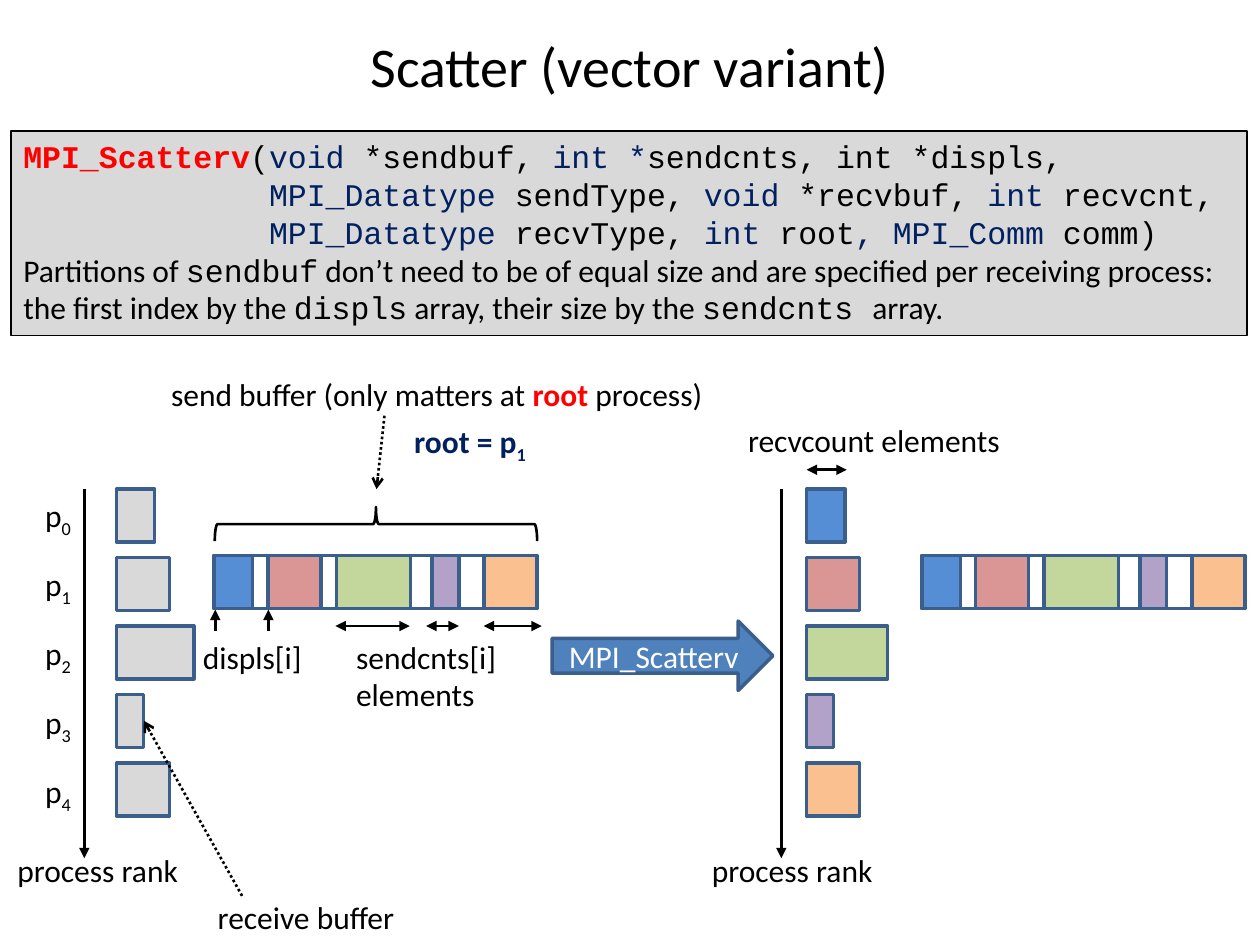
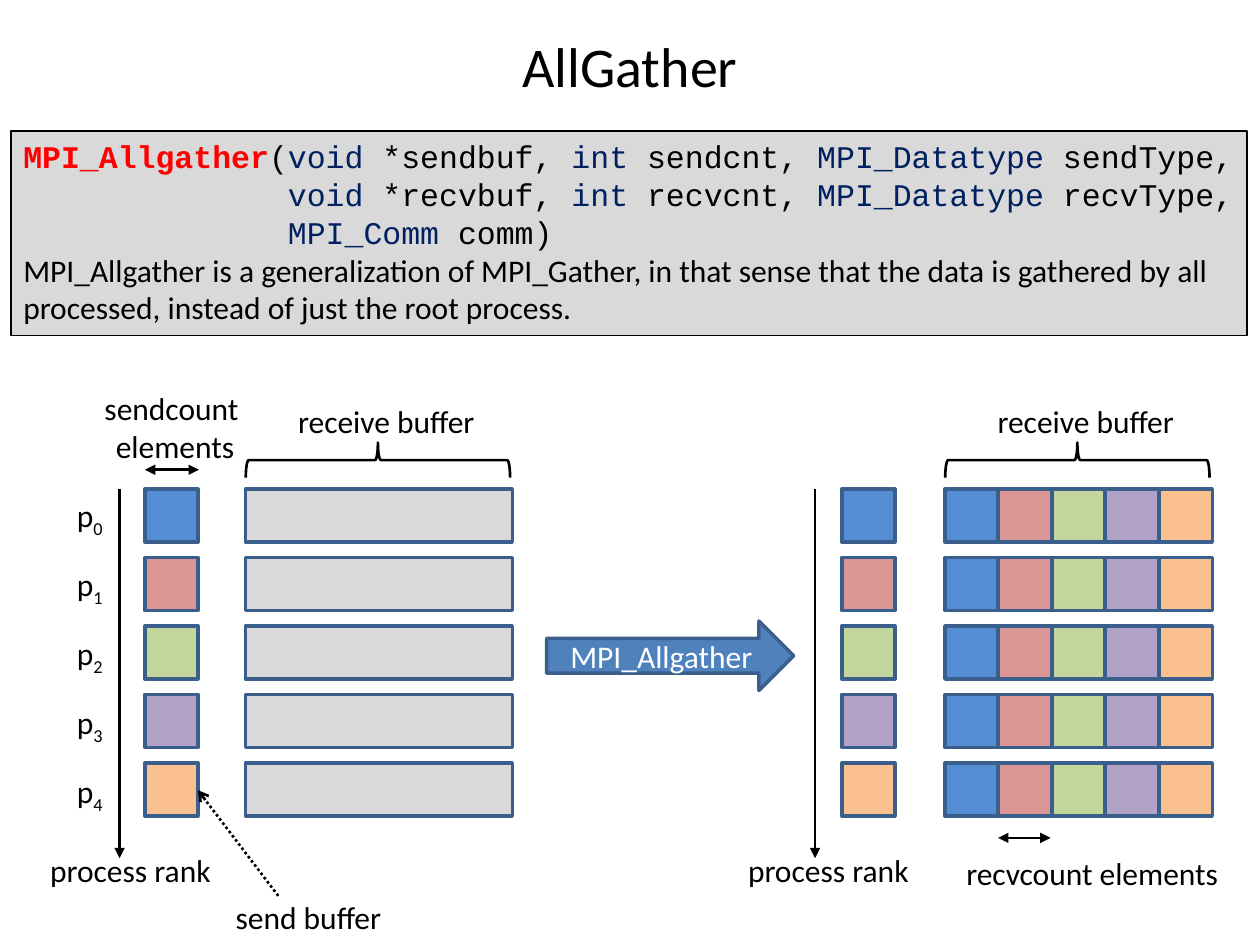
import dataclasses

import pptx
import pptx.dml.color
import pptx.enum.dml
import pptx.enum.shapes
import pptx.enum.text
import pptx.oxml
import pptx.oxml.ns
import pptx.util

Cm = pptx.util.Cm
Pt = pptx.util.Pt
Shape = pptx.enum.shapes.MSO_SHAPE
Align = pptx.enum.text.PP_ALIGN
Anchor = pptx.enum.text.MSO_ANCHOR


@dataclasses.dataclass(frozen=True)
class Style:
    color: str
    font: str = "Calibri"
    bold: bool = False
    subscript: bool = False


@dataclasses.dataclass(frozen=True)
class Theme:
    black: str = "000000"
    white: str = "FFFFFF"
    red: str = "FF0000"
    navy: str = "002060"
    gray: str = "D9D9D9"
    arrow_fill: str = "4F81BD"
    outline: str = "3A5F8C"
    # One colour per process: p0 to p4
    rank_colors: tuple = ("558ED5", "D99694", "C3D69B", "B3A2C7", "FAC090")
    mono: str = "Courier New"
    title_size: int = 32
    text_size: int = 18
    box_line: float = 0.75
    line: float = 1.5
    cell_line: float = 2


THEME = Theme()

# Text styles
PROSE = Style(THEME.black)
STRONG = Style(THEME.red, bold=True)
ROOT = Style(THEME.navy, bold=True)
ROOT_SUB = Style(THEME.navy, bold=True, subscript=True)
SUB = Style(THEME.black, subscript=True)
ON_ARROW = Style(THEME.white)
CALL = Style(THEME.red, THEME.mono, bold=True)
CODE = Style(THEME.black, THEME.mono)
KEY = Style(THEME.navy, THEME.mono)

# Grid of process rows, in centimetres
ROW_TOP, ROW_STEP, CELL = 9.86, 1.38, 1.07
AXIS_END = 17.3


def rgb(code):
    return pptx.dml.color.RGBColor.from_string(code)


def row_y(rank):
    return ROW_TOP + rank * ROW_STEP


def write(frame, lines, size=THEME.text_size, align=Align.LEFT):
    """Fill a text frame; each line is a list of (text, style) spans."""
    for index, line in enumerate(lines):
        para = frame.paragraphs[0] if index == 0 else frame.add_paragraph()
        para.alignment = align
        for text, style in line:
            span = para.add_run()
            span.text = text
            span.font.size = Pt(size)
            span.font.name = style.font
            span.font.bold = style.bold
            span.font.color.rgb = rgb(style.color)
            if style.subscript:
                span._r.get_or_add_rPr().set("baseline", "-25000")


def add_page(deck, title):
    page = deck.slides.add_slide(deck.slide_layouts[5])
    holder = page.shapes.title
    holder.left, holder.top = Cm(1.27), Cm(0.43)
    holder.width, holder.height = Cm(22.86), Cm(1.78)
    holder.text_frame.vertical_anchor = Anchor.MIDDLE
    write(holder.text_frame, [[(title, PROSE)]], THEME.title_size, Align.CENTER)
    return page


def add_figure(page, kind, x, y, width, height, fill=None,
               line=THEME.outline, weight=THEME.cell_line):
    figure = page.shapes.add_shape(kind, Cm(x), Cm(y), Cm(width), Cm(height))
    figure.shadow.inherit = False
    if fill:
        figure.fill.solid()
        figure.fill.fore_color.rgb = rgb(fill)
    else:
        figure.fill.background()
    figure.line.color.rgb = rgb(line)
    figure.line.width = Pt(weight)
    return figure


def add_cell(page, x, y, width, fill=None):
    return add_figure(page, Shape.RECTANGLE, x, y, width, CELL, fill)


def add_signature(page, lines):
    box = add_figure(page, Shape.RECTANGLE, 0.22, 2.64, 24.92, 4.12,
                     THEME.gray, THEME.black, THEME.box_line)
    box.text_frame.word_wrap = True
    box.text_frame.vertical_anchor = Anchor.TOP
    write(box.text_frame, lines)


def add_label(page, x, y, width, lines, align=Align.LEFT):
    box = page.shapes.add_textbox(Cm(x), Cm(y), Cm(width), Cm(0.22 + 0.8 * len(lines)))
    box.text_frame.word_wrap = False
    box.text_frame.auto_size = pptx.enum.text.MSO_AUTO_SIZE.SHAPE_TO_FIT_TEXT
    write(box.text_frame, lines, align=align)


def add_line(page, start, end, head=None, tail="triangle", dotted=False):
    line = page.shapes.add_connector(
        pptx.enum.shapes.MSO_CONNECTOR.STRAIGHT, *map(Cm, start + end))
    line.line.color.rgb = rgb(THEME.black)
    line.line.width = Pt(THEME.line)
    if dotted:
        line.line.dash_style = pptx.enum.dml.MSO_LINE.ROUND_DOT
    properties = line._element.spPr
    for tag, kind in (("headEnd", head), ("tailEnd", tail)):
        if kind:
            end_mark = pptx.oxml.parse_xml(
                f'<a:{tag} {pptx.oxml.ns.nsdecls("a")} type="{kind}"/>')
            properties.get_or_add_ln().append(end_mark)
    properties.append(
        pptx.oxml.parse_xml(f'<a:effectLst {pptx.oxml.ns.nsdecls("a")}/>'))


def add_pointer(page, start, end):
    add_line(page, start, end, tail="arrow", dotted=True)


def add_extent(page, left, right, y):
    add_line(page, (left, y), (right, y), head="triangle")


def add_brace(page, center, top, width, height):
    """Brace pointing up: a right brace turned by a quarter."""
    brace = add_figure(page, Shape.RIGHT_BRACE, center - height / 2,
                       top + height / 2 - width / 2, height, width,
                       line=THEME.black, weight=THEME.line)
    brace.rotation = 270


def add_axis(page, x, caption_x):
    add_line(page, (x, ROW_TOP), (x, AXIS_END))
    add_label(page, caption_x, 17.04, 3.78, [[("process rank", PROSE)]])


def add_ranks(page, x):
    for rank in range(5):
        add_label(page, x, 9.88 + 1.39 * rank, 1.07, [[("p", PROSE), (str(rank), SUB)]])


def add_column(page, x, widths, fills):
    for rank, (width, fill) in enumerate(zip(widths, fills)):
        add_cell(page, x, row_y(rank), width, fill)


def add_call_arrow(page, x, width, text):
    arrow = add_figure(page, Shape.RIGHT_ARROW, x, 12.52, width, 1.4, THEME.arrow_fill)
    arrow.text_frame.word_wrap = True
    arrow.text_frame.vertical_anchor = Anchor.MIDDLE
    write(arrow.text_frame, [[(text, ON_ARROW)]], align=Align.CENTER)


def add_send_buffer(page, x):
    """Unequal partitions with gaps, framed as one buffer."""
    offsets = (0, 1.08, 2.46, 4.39, 5.44)
    widths = (0.77, CELL, 1.5, 0.54, CELL)
    for offset, width, fill in zip(offsets, widths, THEME.rank_colors):
        add_cell(page, x + offset, 11.2, width, fill)
    add_cell(page, x, 11.2, 6.5)


def build_scatter(deck):
    page = add_page(deck, "Scatter (vector variant)")
    indent = (" " * 13, CODE)
    add_signature(page, [
        [("MPI_Scatterv", CALL), ("(", CODE), ("void", KEY), (" *sendbuf, ", CODE),
         ("int *", KEY), ("sendcnts, int *displs,", CODE)],
        [indent, ("MPI_Datatype ", KEY), ("sendType, ", CODE), ("void", KEY),
         (" *recvbuf, ", CODE), ("int ", KEY), ("recvcnt,", CODE)],
        [indent, ("MPI_Datatype ", KEY), ("recvType, ", CODE), ("int", KEY),
         (" root", CODE), (", MPI_Comm", KEY), (" comm)", CODE)],
        [("Partitions of ", PROSE), ("sendbuf", CODE),
         (" don’t need to be of equal size and are specified per receiving process: "
          "the first index by the ", PROSE), ("displs", CODE),
         (" array, their size by the ", PROSE), ("sendcnts ", CODE), ("array.", PROSE)],
    ])

    # Before: receive buffers and the root's send buffer
    add_axis(page, 1.7, 0.1)
    add_ranks(page, 0.66)
    add_column(page, 2.35, (0.77, CELL, 1.56, 0.54, CELL), [THEME.gray] * 5)
    add_send_buffer(page, 4.32)
    add_brace(page, 7.58, 10.22, 6.5, 0.69)
    add_label(page, 3.2, 7.44, 11.35, [
        [("send buffer (only matters at ", PROSE), ("root", STRONG), (" process)", PROSE)]])
    add_label(page, 8.1, 8.38, 2.9, [[("root = p", ROOT), ("1", ROOT_SUB)]])
    add_pointer(page, (7.75, 8.38), (7.59, 9.86))

    # Displacements and counts
    for x in (4.34, 5.41):
        add_line(page, (x, 12.73), (x, 12.29))
    for left, right in ((6.76, 8.26), (8.59, 9.25), (9.75, 10.92)):
        add_extent(page, left, right, 12.62)
    add_label(page, 3.84, 12.73, 2.51, [[("displs[i]", PROSE)]])
    add_label(page, 6.93, 12.73, 3.38, [[("sendcnts[i]", PROSE)], [("elements", PROSE)]])
    add_pointer(page, (4.88, 18.06), (2.9, 14.53))
    add_label(page, 4.14, 17.98, 4.11, [[("receive buffer", PROSE)]])

    # After: each process holds its partition
    add_call_arrow(page, 11.13, 4.45, "MPI_Scatterv")
    add_axis(page, 15.75, 14.1)
    add_column(page, 16.26, (0.78, CELL, 1.63, 0.54, CELL), THEME.rank_colors)
    add_extent(page, 16.26, 17.07, 9.47)
    add_label(page, 14.83, 8.36, 5.66, [[("recvcount elements", PROSE)]])
    add_send_buffer(page, 18.59)


def build_allgather(deck):
    page = add_page(deck, "AllGather")
    indent = (" " * 14, CODE)
    add_signature(page, [
        [("MPI_Allgather", CALL), ("(", CODE), ("void", KEY), (" *sendbuf, ", CODE),
         ("int ", KEY), ("sendcnt, ", CODE), ("MPI_Datatype ", KEY), ("sendType,", CODE)],
        [indent, ("void", KEY), (" *recvbuf, ", CODE), ("int ", KEY),
         ("recvcnt, ", CODE), ("MPI_Datatype ", KEY), ("recvType,", CODE)],
        [indent, ("MPI_Comm", KEY), (" comm)", CODE)],
        [("MPI_Allgather is a generalization of MPI_Gather, in that sense that the data "
          "is gathered by all processed, instead of just the root process.", PROSE)],
    ])

    # Before: one element block and an empty receive buffer per process
    add_axis(page, 2.41, 0.76)
    add_ranks(page, 1.3)
    add_column(page, 2.92, [CELL] * 5, THEME.rank_colors)
    add_column(page, 4.95, [5.38] * 5, [THEME.gray] * 5)
    add_extent(page, 2.92, 4.01, 9.47)
    add_label(page, 1.83, 7.72, 3.4,
              [[("sendcount ", PROSE)], [("elements", PROSE)]], Align.CENTER)
    add_pointer(page, (5.61, 18.06), (3.99, 15.93))
    add_label(page, 4.5, 17.98, 3.51, [[("send buffer", PROSE)]])

    # After: every process holds all blocks
    add_call_arrow(page, 11.02, 4.98, "MPI_Allgather")
    add_axis(page, 16.43, 14.83)
    add_column(page, 16.97, [CELL] * 5, THEME.rank_colors)
    for block, fill in enumerate(THEME.rank_colors):
        add_column(page, 19.05 + 1.08 * block, [CELL] * 5, [fill] * 5)
    add_extent(page, 20.12, 21.18, 16.89)
    add_label(page, 19.23, 17.09, 5.66, [[("recvcount elements", PROSE)]])

    # Braces over both sets of receive buffers
    for center in (7.62, 21.72):
        add_brace(page, center, 8.92, 5.33, 0.71)
        add_label(page, center - 1.86, 7.98, 4.11, [[("receive buffer", PROSE)]])


def main():
    deck = pptx.Presentation()
    deck.slide_width, deck.slide_height = Cm(25.4), Cm(19.05)
    build_scatter(deck)
    build_allgather(deck)
    deck.save("out.pptx")


if __name__ == "__main__":
    main()
